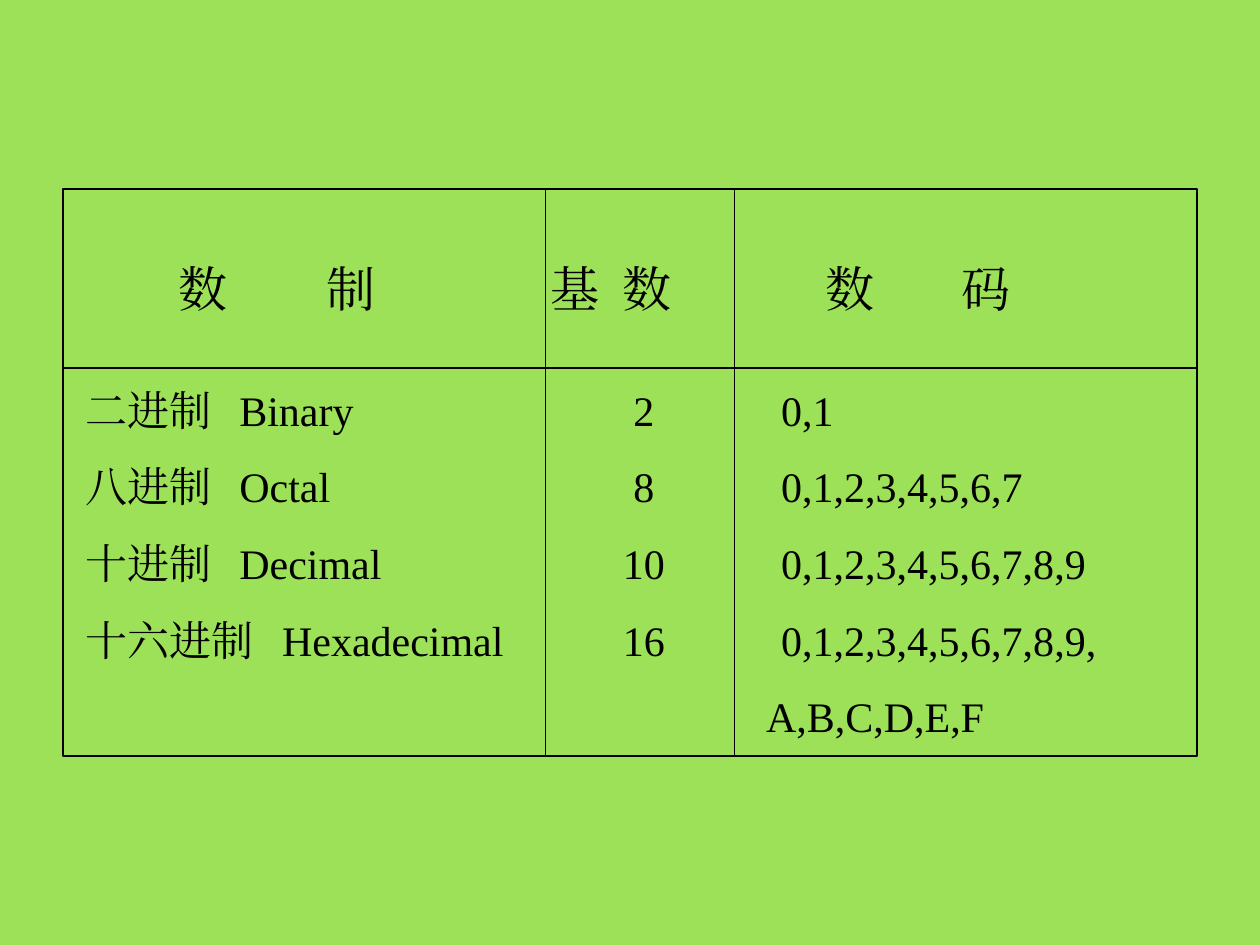
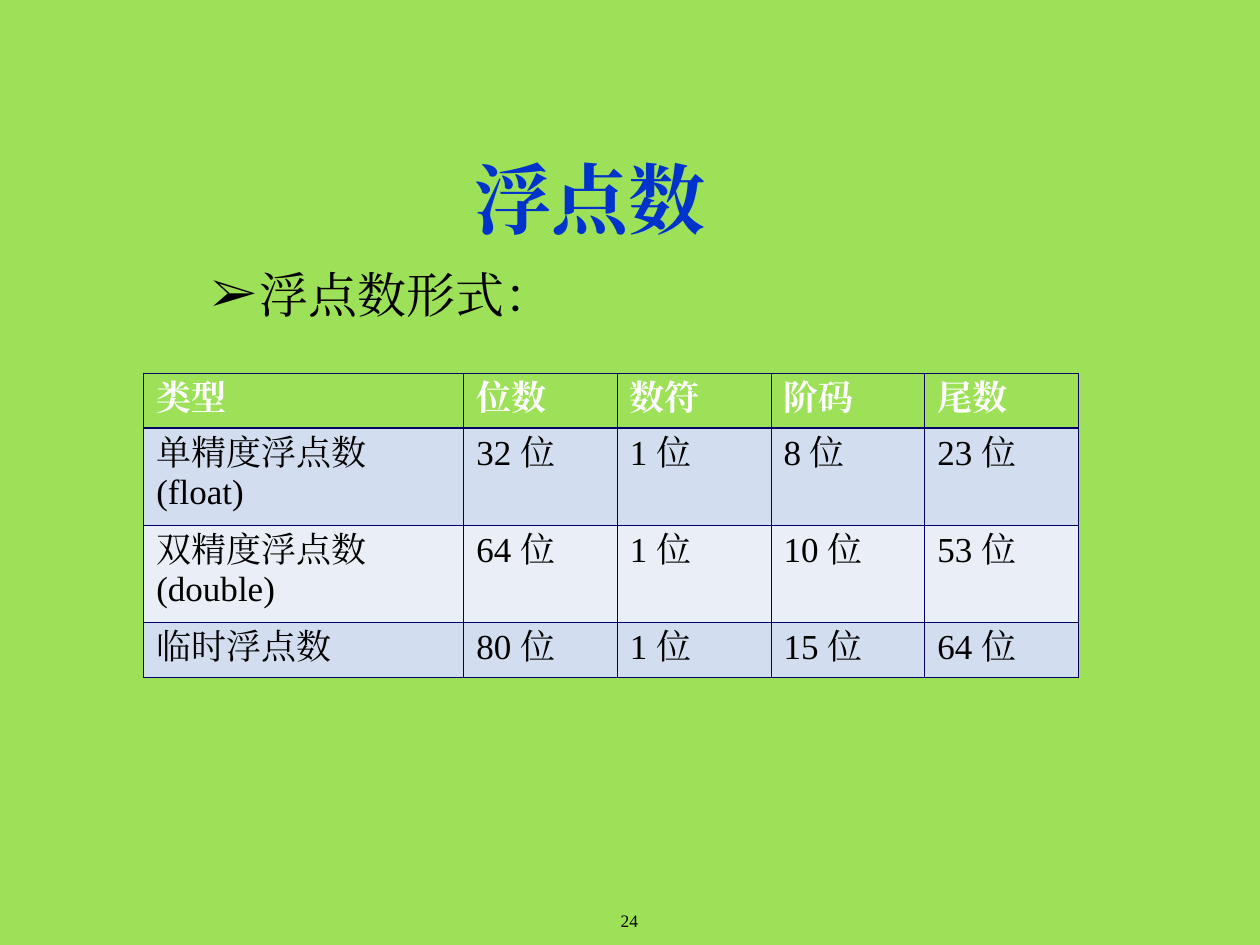
from dataclasses import dataclass

from lxml.etree import SubElement
from pptx import Presentation
from pptx.dml.color import RGBColor
from pptx.enum.shapes import MSO_CONNECTOR, MSO_SHAPE
from pptx.enum.text import MSO_ANCHOR, MSO_AUTO_SIZE, PP_ALIGN
from pptx.oxml import parse_xml
from pptx.oxml.ns import nsdecls, qn
from pptx.util import Inches, Pt


@dataclass(frozen=True)
class Theme:
    font: str = "Times New Roman"
    back: str = "9CE157"
    ink: str = "000000"
    title: str = "0033CC"
    head_text: str = "FFFFFF"
    border: str = "000066"
    bands: tuple[str, str] = ("D2DEEF", "EAEFF7")
    title_size: int = 44
    lead_size: int = 28
    list_size: int = 24
    cell_size: int = 20
    page_size: int = 10
    rule: float = 0.75
    thin: float = 0.45
    thick: float = 1.47


@dataclass(frozen=True)
class Box:
    left: float
    top: float
    width: float
    height: float

    def emu(self) -> tuple[int, ...]:
        return tuple(Inches(v) for v in (self.left, self.top, self.width, self.height))


@dataclass(frozen=True)
class Stop:
    at: float
    align: str = "l"


@dataclass(frozen=True)
class TabRow:
    """A line of tab-separated text with its stops, measured from the text edge."""
    text: str
    stops: tuple[Stop, ...]


T = Theme()
FRAME = Box(0.5, 1.5, 9, 4.5)
HEAD_RULE_Y = 2.92
COLUMN_RULES_X = (4.33, 5.83)

HEADER = TabRow("数\t制\t基\t数\t数\t码",
                tuple(Stop(x) for x in (1.17, 2.95, 3.52, 5.13, 6.21)))
BASE, DIGITS = Stop(4.43, "ctr"), Stop(5.52)
SHORT_NAME = (Stop(1.22), BASE, DIGITS)
LONG_NAME = (Stop(1.56), BASE, DIGITS)
SYSTEMS = [
    TabRow("二进制\tBinary\t2\t0,1", SHORT_NAME),
    TabRow("八进制\tOctal\t8\t0,1,2,3,4,5,6,7", SHORT_NAME),
    TabRow("十进制\tDecimal\t10\t0,1,2,3,4,5,6,7,8,9", SHORT_NAME),
    TabRow("十六进制\tHexadecimal\t16\t0,1,2,3,4,5,6,7,8,9,", LONG_NAME),
    TabRow("\tA,B,C,D,E,F", (Stop(5.4),)),
]

FLOAT_HEAD = ("类型", "位数", "数符", "阶码", "尾数")
FLOAT_TYPES = [
    ("单精度浮点数(float)", 32, 1, 8, 23),
    ("双精度浮点数(double)", 64, 1, 10, 53),
    ("临时浮点数", 80, 1, 15, 64),
]


def rgb(color: str) -> RGBColor:
    return RGBColor.from_string(color)


def add_run(p, text: str, size: float, color: str = T.ink, bold: bool = False) -> None:
    r = p.add_run()
    r.text = text
    for name, value in {"size": Pt(size), "bold": bold, "name": T.font}.items():
        setattr(r.font, name, value)
    r.font.color.rgb = rgb(color)
    SubElement(r.font._element if hasattr(r.font, "_element") else r._r.get_or_add_rPr(),
               qn("a:ea"), typeface=T.font)


def format_frame(tf, **formats) -> None:
    for name, value in ({"word_wrap": True, "auto_size": MSO_AUTO_SIZE.NONE} | formats).items():
        setattr(tf, name, value)


def place(sp, box: Box) -> None:
    for name, value in zip(("left", "top", "width", "height"), box.emu()):
        setattr(sp, name, value)


def add_rule(slide, x1: float, y1: float, x2: float, y2: float) -> None:
    line = slide.shapes.add_connector(
        MSO_CONNECTOR.STRAIGHT, *(Inches(v) for v in (x1, y1, x2, y2)))
    line.line.color.rgb = rgb(T.ink)
    line.line.width = Pt(T.rule)
    SubElement(line._element.spPr, qn("a:effectLst"))


def add_tab_rows(slide, box: Box, rows: list[TabRow], size: float,
                 inset: float = 0.1, gap: float = 0) -> None:
    tf = slide.shapes.add_textbox(*box.emu()).text_frame
    format_frame(tf, margin_left=Inches(inset))
    for i, row in enumerate(rows):
        p = tf.add_paragraph() if i else tf.paragraphs[0]
        p.space_before = Pt(gap if i else 0)
        tabs = SubElement(p._p.get_or_add_pPr(), qn("a:tabLst"))
        for stop in row.stops:
            SubElement(tabs, qn("a:tab"), pos=str(Inches(stop.at)), algn=stop.align)
        add_run(p, row.text, size)


def set_borders(cell, top: float, bottom: float) -> None:
    tc_pr = cell._tc.get_or_add_tcPr()
    widths = {"lnL": T.thin, "lnR": T.thin, "lnT": top, "lnB": bottom}
    for i, (side, width) in enumerate(widths.items()):
        tc_pr.insert(i, parse_xml(
            f'<a:{side} {nsdecls("a")} w="{Pt(width)}"><a:solidFill>'
            f'<a:srgbClr val="{T.border}"/></a:solidFill></a:{side}>'))


def add_float_table(slide) -> None:
    rows = [FLOAT_HEAD] + [(name, *(f"{n} 位" for n in bits)) for name, *bits in FLOAT_TYPES]
    table = slide.shapes.add_table(len(rows), len(FLOAT_HEAD),
                                   *Box(1.14, 2.96, 7.41, 2.42).emu()).table
    table.horz_banding = False
    for i, column in enumerate(table.columns):
        column.width = Inches(1.22 if i else 2.54)
    for row, height in zip(table.rows, (0.44, 0.77, 0.77, 0.44)):
        row.height = Inches(height)
    for i, texts in enumerate(rows):
        head = i == 0
        for j, text in enumerate(texts):
            cell = table.cell(i, j)
            cell.fill.solid()
            cell.fill.fore_color.rgb = rgb(T.back if head else T.bands[(i - 1) % 2])
            set_borders(cell, top=T.thick if i == 1 else T.thin,
                        bottom=T.thick if head else T.thin)
            add_run(cell.text_frame.paragraphs[0], text, T.cell_size,
                    T.head_text if head else T.ink, head)


def number_systems_slide(prs) -> None:
    slide = prs.slides.add_slide(prs.slide_layouts[6])
    sp = slide.shapes.add_shape(MSO_SHAPE.RECTANGLE, *FRAME.emu())
    sp.shadow.inherit = False
    sp.fill.background()
    sp.line.color.rgb = rgb(T.ink)
    sp.line.width = Pt(T.rule)
    add_rule(slide, FRAME.left, HEAD_RULE_Y, FRAME.left + FRAME.width, HEAD_RULE_Y)
    for x in COLUMN_RULES_X:
        add_rule(slide, x, FRAME.top, x, FRAME.top + FRAME.height)
    add_tab_rows(slide, Box(1.32, 2, 8.01, 0.57), [HEADER], T.lead_size)
    add_tab_rows(slide, Box(0.5, 3, 8.87, 2.94), SYSTEMS, T.list_size, inset=0.18, gap=15)


def floating_point_slide(prs) -> None:
    slide = prs.slides.add_slide(prs.slide_layouts[1])
    title, body = slide.placeholders
    place(title, Box(0.43, 1.15, 8.5, 0.84))
    format_frame(title.text_frame, vertical_anchor=MSO_ANCHOR.MIDDLE)
    p = title.text_frame.paragraphs[0]
    p.alignment = PP_ALIGN.CENTER
    add_run(p, "浮点数", T.title_size, T.title, True)

    place(body, Box(1.39, 2.05, 2.9, 0.57))
    format_frame(body.text_frame, word_wrap=False)
    p = body.text_frame.paragraphs[0]
    p.alignment = PP_ALIGN.CENTER
    p.space_before = Pt(0)
    p_pr = p._p.get_or_add_pPr()
    p_pr.set("marL", str(Inches(0.38)))
    p_pr.set("indent", str(-Inches(0.38)))
    color = SubElement(p_pr, qn("a:buClr"))
    SubElement(color, qn("a:srgbClr"), val=T.ink)
    SubElement(p_pr, qn("a:buFont"), typeface=T.font)
    SubElement(p_pr, qn("a:buChar"), char="➢")
    add_run(p, "浮点数形式：", T.lead_size)

    add_float_table(slide)

    tf = slide.shapes.add_textbox(*Box(4.33, 7.17, 1.33, 0.25).emu()).text_frame
    format_frame(tf)
    tf.paragraphs[0].alignment = PP_ALIGN.CENTER
    add_run(tf.paragraphs[0], "24", T.page_size)


def main() -> None:
    prs = Presentation()
    prs.slide_width, prs.slide_height = Inches(10), Inches(7.5)
    fill = prs.slide_master.background.fill
    fill.solid()
    fill.fore_color.rgb = rgb(T.back)
    number_systems_slide(prs)
    floating_point_slide(prs)
    prs.save("out.pptx")


if __name__ == "__main__":
    main()
